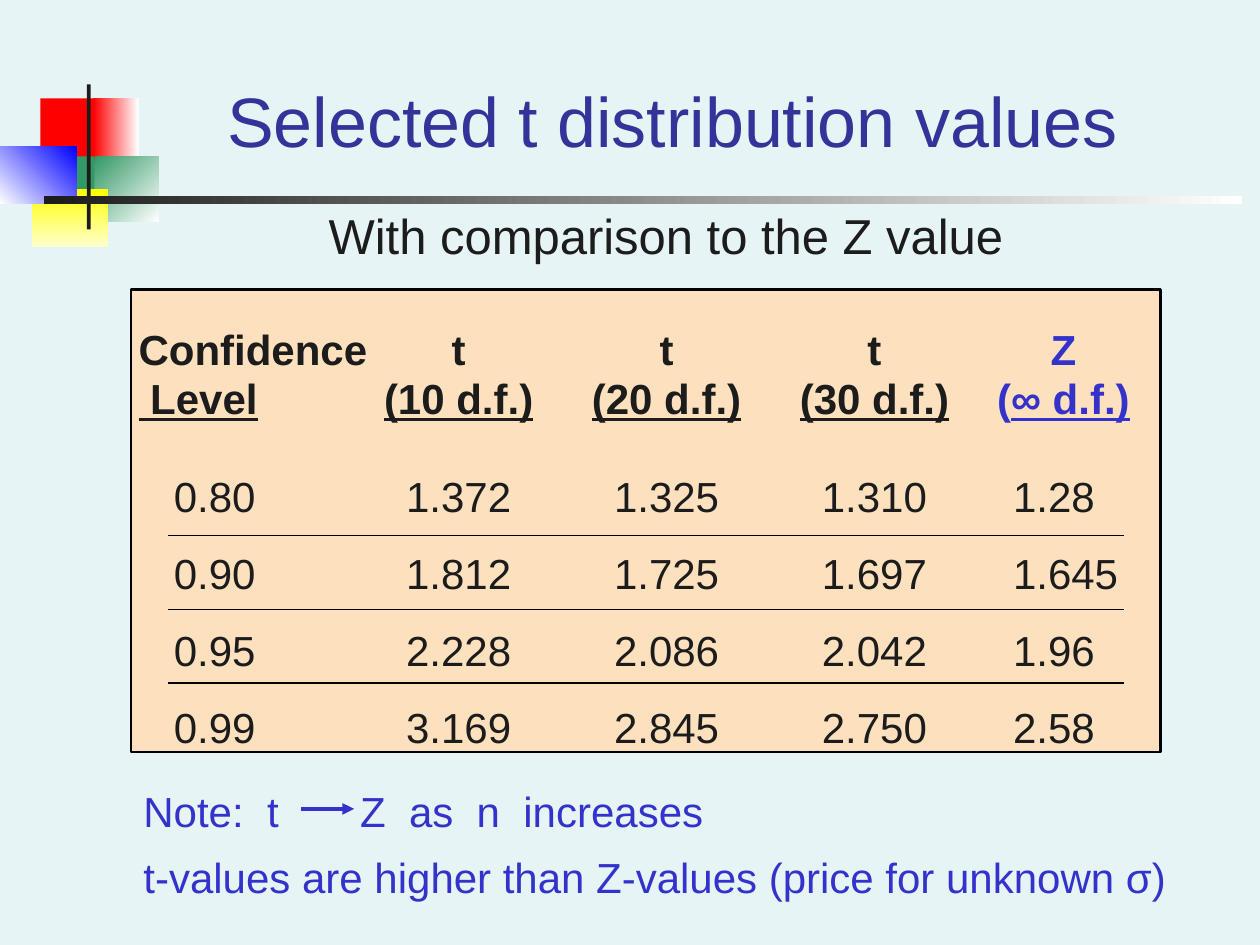
"""Build the slide that compares selected t distribution values with Z."""
import itertools

import pptx
import pptx.dml.color
import pptx.enum.shapes
import pptx.enum.text
import pptx.oxml
import pptx.oxml.ns
import pptx.util

Inches = pptx.util.Inches
ALIGN = pptx.enum.text.PP_ALIGN
ANCHOR = pptx.enum.text.MSO_ANCHOR

THEME = {
    "background": "E7F4F5", "ink": "1C1C1C", "title": "333399", "accent": "3333CC",
    "panel": "FDE0BD", "rule": "000000", "font": "Arial",
    "title_size": 40, "subtitle_size": 28, "body_size": 24,
}
TITLE = "Selected t distribution values"
SUBTITLE = "With comparison to the Z value"
HEADERS = [
    [[("Confidence", False)], [(" Level\t", True)]],
    [[("t", False)], [("(10 d.f.)", True)]],
    [[("t", False)], [("(20 d.f.)", True)]],
    [[("t", False)], [("(30 d.f.)", True)]],
    [[("Z", False)], [("(", False), ("∞ d.f.)", True)]],
]
VALUES = [
    ("0.80", "1.372", "1.325", "1.310", "1.28"),
    ("0.90", "1.812", "1.725", "1.697", "1.645"),
    ("0.95", "2.228", "2.086", "2.042", "1.96"),
    ("0.99", "3.169", "2.845", "2.750", "2.58"),
]
NOTES = ["Note:  t\tZ  as  n  increases",
         "t-values are higher than Z-values (price for unknown σ)"]
DECORATION = [
    ((0.32, 0.78, 0.48, 0.52), ("FF0000",), 0),
    ((0.74, 0.78, 0.36, 0.52), ("FF0000", "FFFFFF"), 0),
    ((0.75, 1.24, 0.51, 0.52), ("339966", "FFFFFF"), 45),
    ((0.43, 1.24, 0.32, 0.52), ("339966",), 0),
    ((0.25, 1.5, 0.61, 0.46), ("FFFF00", "FFFFCC"), 90),
    ((0, 1.16, 0.61, 0.46), ("FFFFFF", "0000FF"), 315),
    ((0.69, 0.67, 0.03, 1.15), (THEME["ink"],), 0),
    ((0.35, 1.56, 9.51, 0.06), (THEME["ink"], "FFFFFF"), 0),
]
PANEL = (1.04, 2.3, 8.17, 3.67)
TABLE_LEFT, TABLE_TOP = 1.1, 2.31
COLUMN_WIDTHS = (1.9, 1.65, 1.65, 1.5, 1.28)
HEADER_HEIGHT, ROW_HEIGHT = 1.34, 0.61
VALUE_WIDTH = COLUMN_WIDTHS[-1]
RULE_LEFT, RULE_RIGHT, RULE_TOP, RULE_PITCH = 1.33, 8.92, 4.25, 0.585
NO_GRID_STYLE = "{2D5ABB26-0587-4C30-8999-92F81FD0307C}"


def rgb(value):
    """Return a colour object for a hex value."""
    return pptx.dml.color.RGBColor.from_string(value)


def add_box(slide, place, colors, angle=0, line=None):
    """Add a rectangle with a solid or two-stop gradient fill."""
    shape = slide.shapes.add_shape(
        pptx.enum.shapes.MSO_SHAPE.RECTANGLE, *map(Inches, place))
    shape.shadow.inherit = False
    if len(colors) == 1:
        shape.fill.solid()
        shape.fill.fore_color.rgb = rgb(colors[0])
    else:
        shape.fill.gradient()
        shape.fill.gradient_angle = (360 - angle) % 360
        for stop, color in zip(shape.fill.gradient_stops, colors):
            stop.color.rgb = rgb(color)
    if line:
        shape.line.color.rgb = rgb(line)
        shape.line.width = pptx.util.Pt(1.5)
    else:
        shape.line.fill.background()


def add_line(slide, start, end, color, width, arrow=False):
    """Add a straight line, with an arrowhead if asked."""
    connector = slide.shapes.add_connector(
        pptx.enum.shapes.MSO_CONNECTOR.STRAIGHT, *map(Inches, start + end))
    connector.line.color.rgb = rgb(color)
    connector.line.width = pptx.util.Pt(width)
    if arrow:
        head = pptx.oxml.parse_xml(
            f'<a:tailEnd {pptx.oxml.ns.nsdecls("a")} type="triangle"/>')
        connector.line._get_or_add_ln().append(head)
    connector._element.spPr.append(
        pptx.oxml.parse_xml(f'<a:effectLst {pptx.oxml.ns.nsdecls("a")}/>'))


def write_text(frame, paragraphs, size=THEME["body_size"], color=THEME["ink"], bold=False,
               align=ALIGN.LEFT, gap=0, spacing=None, tab=None):
    """Write paragraphs, each a string or a list of (text, underlined) runs."""
    for index, content in enumerate(paragraphs):
        paragraph = frame.paragraphs[0] if index == 0 else frame.add_paragraph()
        paragraph.alignment = align
        if spacing:
            paragraph.line_spacing = spacing
        if index:
            paragraph.space_before = pptx.util.Pt(gap)
        if tab:
            paragraph._p.get_or_add_pPr().append(pptx.oxml.parse_xml(
                f'<a:tabLst {pptx.oxml.ns.nsdecls("a")}>'
                f'<a:tab pos="{Inches(tab)}" algn="l"/></a:tabLst>'))
        for text, underlined in [(content, False)] if isinstance(content, str) else content:
            run = paragraph.add_run()
            run.text = text
            run.font.name = THEME["font"]
            run.font.size = pptx.util.Pt(size)
            run.font.color.rgb = rgb(color)
            run.font.bold = bold
            run.font.underline = underlined


def add_text(slide, place, paragraphs, anchor=ANCHOR.TOP, **text_format):
    """Add a wrapping text box."""
    frame = slide.shapes.add_textbox(*map(Inches, place)).text_frame
    frame.word_wrap = True
    frame.vertical_anchor = anchor
    write_text(frame, paragraphs, **text_format)


def add_values_table(slide):
    """Add the table of t and Z values."""
    height = HEADER_HEIGHT + ROW_HEIGHT * len(VALUES)
    table = slide.shapes.add_table(
        len(VALUES) + 1, len(HEADERS), Inches(TABLE_LEFT), Inches(TABLE_TOP),
        Inches(sum(COLUMN_WIDTHS)), Inches(height)).table
    table.horz_banding = False
    table._tbl.tblPr.find(pptx.oxml.ns.qn("a:tableStyleId")).text = NO_GRID_STYLE
    for row_index, row in enumerate(table.rows):
        row.height = Inches(ROW_HEIGHT if row_index else HEADER_HEIGHT)
    last = len(HEADERS) - 1
    for column, width in enumerate(COLUMN_WIDTHS):
        table.columns[column].width = Inches(width)
    for row, column in itertools.product(range(len(VALUES) + 1), range(len(HEADERS))):
        cell = table.cell(row, column)
        cell.fill.background()
        cell.vertical_anchor = ANCHOR.MIDDLE
        cell.margin_top = cell.margin_bottom = 0
        cell.margin_left = Inches({0: 0.28, last: 0.24}.get(column, 0) if row else 0)
        cell.margin_right = Inches(COLUMN_WIDTHS[column] - VALUE_WIDTH if column else 0)
        left_aligned = column == 0 or (row and column == last)
        align = ALIGN.LEFT if left_aligned else ALIGN.CENTER
        if row:
            write_text(cell.text_frame, [VALUES[row - 1][column]], align=align)
        else:
            write_text(cell.text_frame, HEADERS[column], bold=True, align=align, gap=1.6,
                       color=THEME["accent" if column == last else "ink"],
                       tab=None if column else 1.69)


def main():
    """Build and save the presentation."""
    presentation = pptx.Presentation()
    presentation.slide_width, presentation.slide_height = Inches(10), Inches(7.5)
    slide = presentation.slides.add_slide(presentation.slide_layouts[6])
    slide.background.fill.solid()
    slide.background.fill.fore_color.rgb = rgb(THEME["background"])
    for place, colors, angle in DECORATION:
        add_box(slide, place, colors, angle)
    add_box(slide, PANEL, (THEME["panel"],), line=THEME["rule"])
    add_text(slide, (1.17, 0.5, 8.33, 0.83), [TITLE], anchor=ANCHOR.BOTTOM,
             size=THEME["title_size"], color=THEME["title"], align=ALIGN.CENTER)
    add_text(slide, (2.51, 1.58, 5.55, 0.57), [SUBTITLE],
             size=THEME["subtitle_size"], align=ALIGN.CENTER)
    add_values_table(slide)
    for index in range(len(VALUES) - 1):
        top = RULE_TOP + RULE_PITCH * index
        add_line(slide, (RULE_LEFT, top), (RULE_RIGHT, top), THEME["rule"], 0.75)
    add_text(slide, (1.04, 6.26, 8.83, 0.95), NOTES, color=THEME["accent"],
             gap=15, spacing=0.8, tab=1.72)
    add_line(slide, (2.39, 6.42), (2.81, 6.42), THEME["accent"], 2.25, arrow=True)
    presentation.save("out.pptx")


if __name__ == "__main__":
    main()
